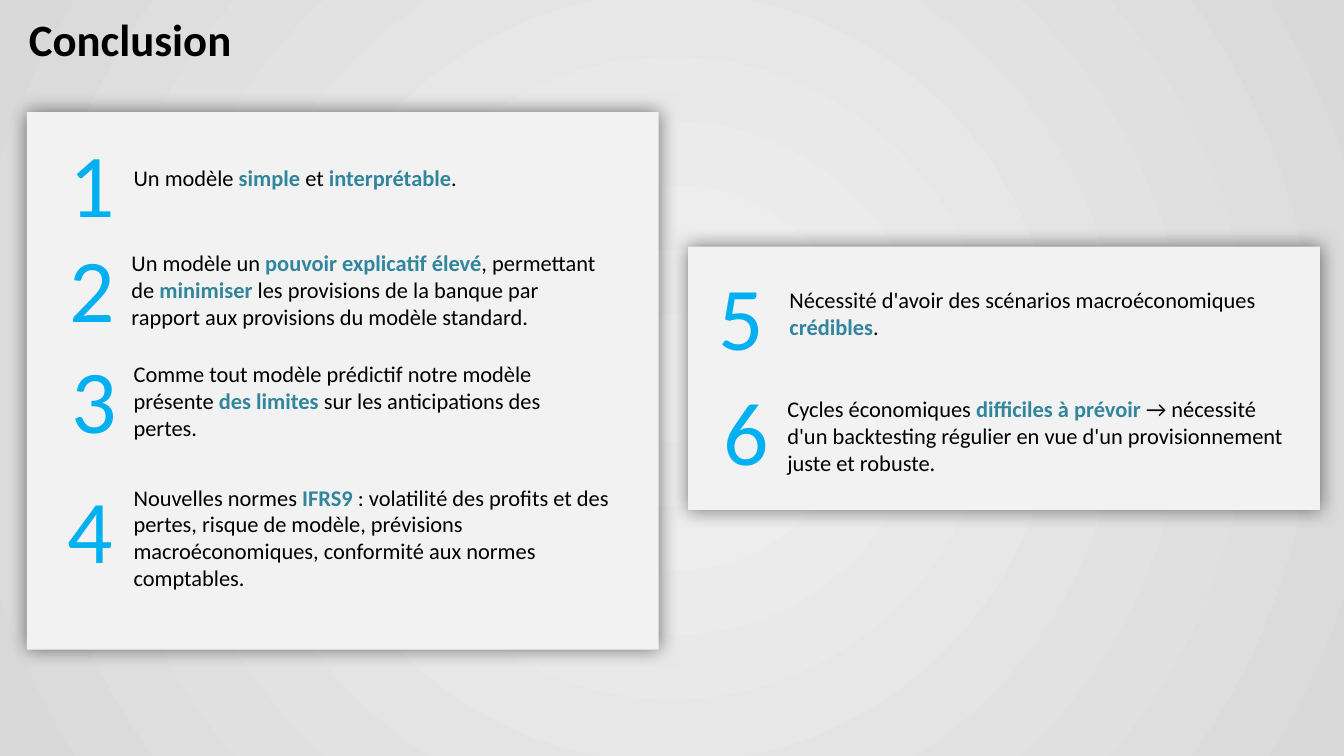
from dataclasses import dataclass

from pptx import Presentation
from pptx import util as u
from pptx.dml.color import RGBColor
from pptx.enum import shapes, text
from pptx.oxml import parse_xml
from pptx.oxml.ns import nsdecls, qn


@dataclass(frozen=True)
class Theme:
    font: str = "Calibri"
    ink: str = "000000"
    accent: str = "31859C"
    number: str = "00B0F0"
    panel: str = "F2F2F2"
    backdrop: tuple = ("F2F2F2", "D9D9D9")
    title_size: int = 48
    number_size: int = 96
    body_size: int = 24


class ConclusionSlide:
    def __init__(self, page, theme):
        self.page = page
        self.theme = theme

    def backdrop(self):
        """Radial gradient, light in the middle of the slide."""
        fill = self.page.background.fill
        fill.gradient()
        for stop, colour in zip(fill.gradient_stops, self.theme.backdrop):
            stop.color.rgb = RGBColor.from_string(colour)
        linear = self.page.element.find(".//" + qn("a:lin"))
        linear.getparent().replace(linear, parse_xml(
            f'<a:path {nsdecls("a")} path="circle">'
            '<a:fillToRect l="50000" t="50000" r="50000" b="50000"/></a:path>'))

    def panel(self, left, top, width, height):
        """Plain card with a soft shadow on every side."""
        card = self.page.shapes.add_shape(
            shapes.MSO_SHAPE.RECTANGLE, *map(u.Cm, (left, top, width, height)))
        card.fill.solid()
        card.fill.fore_color.rgb = RGBColor.from_string(self.theme.panel)
        card.line.fill.background()
        card.shadow.inherit = False
        effects = card.element.spPr.find(qn("a:effectLst"))
        effects.append(parse_xml(
            f'<a:outerShdw {nsdecls("a")} blurRad="{u.Pt(21)}" dist="0" '
            'dir="5400000" rotWithShape="0"><a:srgbClr val="000000">'
            '<a:alpha val="53000"/></a:srgbClr></a:outerShdw>'))

    def title(self, words, left, top, width, height):
        box = self.page.shapes.title
        places = zip(("left", "top", "width", "height"), (left, top, width, height))
        for name, length in places:
            setattr(box, name, u.Cm(length))
        self.fill_text(box, words, self.theme.title_size, self.theme.ink, bold=True)

    def number(self, digit, left, top):
        box = self.page.shapes.add_textbox(*map(u.Cm, (left, top, 2.87, 4.37)))
        self.fill_text(box, str(digit), self.theme.number_size, self.theme.number)

    def statement(self, words, left, top, width, lines):
        height = 0.25 + 1.02 * lines
        box = self.page.shapes.add_textbox(*map(u.Cm, (left, top, width, height)))
        self.fill_text(box, words, self.theme.body_size, self.theme.ink)

    def fill_text(self, box, words, size, colour, bold=False):
        """Fill a box; words between asterisks become bold accents."""
        frame = box.text_frame
        layout = {"word_wrap": True, "auto_size": text.MSO_AUTO_SIZE.NONE,
                  "vertical_anchor": text.MSO_ANCHOR.TOP}
        for name, value in layout.items():
            setattr(frame, name, value)
        para = frame.paragraphs[0]
        para.alignment = text.PP_ALIGN.LEFT
        for index, part in enumerate(words.split("*")):
            strong = index % 2 == 1
            span = para.add_run()
            span.text = part
            style = {"name": self.theme.font, "size": u.Pt(size), "bold": bold or strong}
            for name, value in style.items():
                setattr(span.font, name, value)
            span.font.color.rgb = RGBColor.from_string(
                self.theme.accent if strong else colour)


PANELS = [(26.01, 9.32, 23.88, 9.96), (1.02, 4.24, 23.88, 20.32)]

# Number position, then statement: words, left, top, width, lines
POINTS = [
    ((2.36, 4.72), ("Un modèle *simple* et *interprétable*.", 4.8, 6.07, 18.26, 1)),
    ((2.36, 8.69), ("Un modèle un *pouvoir explicatif élevé*, permettant de *minimiser* "
                    "les provisions de la banque par rapport aux provisions du modèle "
                    "standard.", 4.72, 9.3, 18.26, 3)),
    ((2.46, 12.88), ("Comme tout modèle prédictif notre modèle présente *des limites "
                     "*sur les anticipations des pertes.", 4.8, 13.49, 16.79, 3)),
    ((2.29, 17.78), ("Nouvelles normes *IFRS9* : volatilité des profits et des pertes, "
                     "risque de modèle, prévisions macroéconomiques, conformité aux "
                     "normes comptables.", 4.8, 18.16, 19.89, 4)),
    ((26.9, 9.73), ("Nécessité d'avoir des scénarios macroéconomiques *crédibles*.",
                    29.59, 10.69, 19.61, 2)),
    ((27.08, 14.07), ("Cycles économiques *difficiles à prévoir *→ nécessité d'un "
                      "backtesting régulier en vue d'un provisionnement juste et "
                      "robuste.", 29.51, 14.83, 19.61, 3)),
]


def main():
    deck = Presentation()
    deck.slide_width, deck.slide_height = u.Cm(50.8), u.Cm(28.58)
    title_only = deck.slide_layouts[5]
    slide = ConclusionSlide(deck.slides.add_slide(title_only), Theme())
    slide.backdrop()
    slide.title("Conclusion", 0.84, 0.33, 22.94, 2.31)
    for place in PANELS:
        slide.panel(*place)
    for digit, (place, statement) in enumerate(POINTS, start=1):
        slide.number(digit, *place)
        slide.statement(*statement)
    deck.save("out.pptx")


if __name__ == "__main__":
    main()
